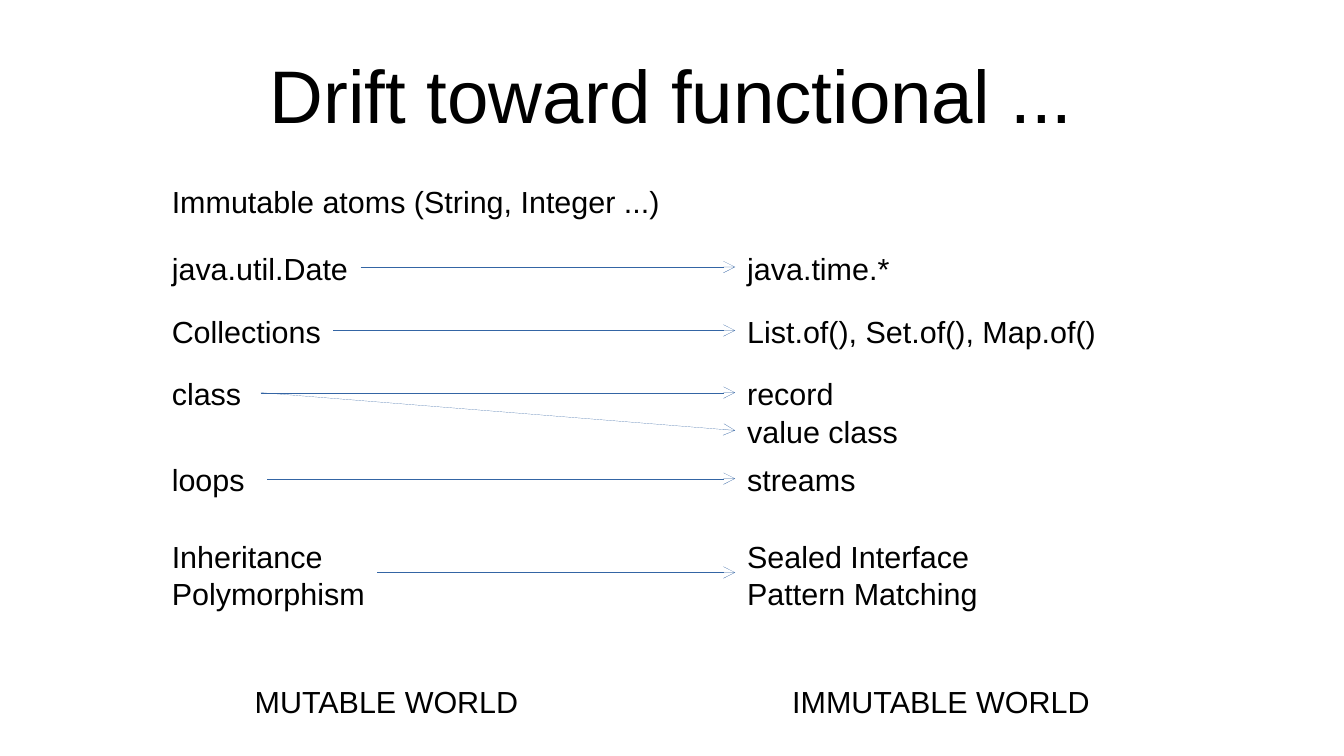
from pptx import Presentation
from pptx.dml.color import RGBColor
from pptx.enum.shapes import MSO_CONNECTOR as Connector
from pptx.enum.text import MSO_ANCHOR as Anchor, MSO_AUTO_SIZE as AutoSize, PP_ALIGN as Align
from pptx.oxml.ns import qn
from pptx.util import Inches, Pt
from lxml.etree import SubElement

COLORS = {"text": "000000", "arrow": "3465A4"}
FONT = "Arial"
HAIRLINE = Pt(0.01)
MUTABLE, IMMUTABLE = 11.89, 54.7
LINE, TWO_LINES = 6.13, 10.65
SLACK = 0.4
CLASS_TOP, CLASS_WIDTH, VALUE_TOP = 48.87, 7.5, 53.87
WORLD_TOP = 89.52

CHANGES = [
    (32.26, LINE, "java.util.Date", 14.95, "java.time.*", 12.4),
    (40.65, LINE, "Collections", 12.89, "List.of(), Set.of(), Map.of()", 27.77),
    (CLASS_TOP, LINE, "class", CLASS_WIDTH, "record", 9.07),
    (60.25, LINE, "loops", 7.99, "streams", 10.25),
    (70.4, TWO_LINES, "Inheritance\nPolymorphism", 16.2,
     "Sealed Interface\nPattern Matching", 18.97),
]


class SlideBuilder:
    def __init__(self, deck):
        self.deck = deck
        self.page = deck.slides.add_slide(deck.slide_layouts[6])

    def across(self, percent):
        return round(self.deck.slide_width * percent / 100)

    def down(self, percent):
        return round(self.deck.slide_height * percent / 100)

    def text(self, words, left, top, width, height, size=18):
        box = self.page.shapes.add_textbox(
            self.across(left), self.down(top),
            self.across(width + SLACK), self.down(height))
        frame = box.text_frame
        frame.word_wrap = True
        frame.auto_size = AutoSize.SHAPE_TO_FIT_TEXT
        para = frame.paragraphs[0]
        para.text = words
        for span in para.runs:
            span.font.name = FONT
            span.font.size = Pt(size)
            span.font.color.rgb = RGBColor.from_string(COLORS["text"])
        return frame

    def title(self, words):
        frame = self.text(words, 5, 4, 90 - SLACK, 16.8, size=44)
        frame.auto_size = AutoSize.NONE
        frame.vertical_anchor = Anchor.MIDDLE
        frame.margin_left = frame.margin_right = 0
        frame.margin_top = frame.margin_bottom = 0
        frame.paragraphs[0].alignment = Align.CENTER

    def arrow(self, left, top, right, bottom):
        arrow = self.page.shapes.add_connector(
            Connector.STRAIGHT, self.across(left), self.down(top),
            self.across(right), self.down(bottom))
        arrow.line.color.rgb = RGBColor.from_string(COLORS["arrow"])
        arrow.line.width = HAIRLINE
        properties = arrow.line._get_or_add_ln()
        SubElement(properties, qn("a:tailEnd"), type="arrow")
        SubElement(arrow._element.spPr, qn("a:effectLst"))

    def change(self, top, height, before, before_width, after, after_width):
        middle = top + height / 2
        self.text(before, MUTABLE, top, before_width, height)
        self.text(after, IMMUTABLE, top, after_width, height)
        self.arrow(MUTABLE + before_width, middle, IMMUTABLE, middle)


def main():
    deck = Presentation()
    deck.slide_width, deck.slide_height = Inches(11.02), Inches(6.2)
    slide = SlideBuilder(deck)
    slide.title("Drift toward functional ...")
    slide.text("Immutable atoms (String, Integer ...)", MUTABLE, 23.39, 38.11, LINE)
    for change in CHANGES:
        slide.change(*change)

    slide.text("value class", IMMUTABLE, VALUE_TOP, 13.25, LINE)
    slide.arrow(MUTABLE + CLASS_WIDTH, CLASS_TOP + LINE / 2,
                IMMUTABLE, VALUE_TOP + LINE / 2)

    slide.text("MUTABLE WORLD", 18.06, WORLD_TOP, 21.42, LINE)
    slide.text("IMMUTABLE WORLD", 58.05, WORLD_TOP, 23.96, LINE)
    deck.save("out.pptx")


if __name__ == "__main__":
    main()
